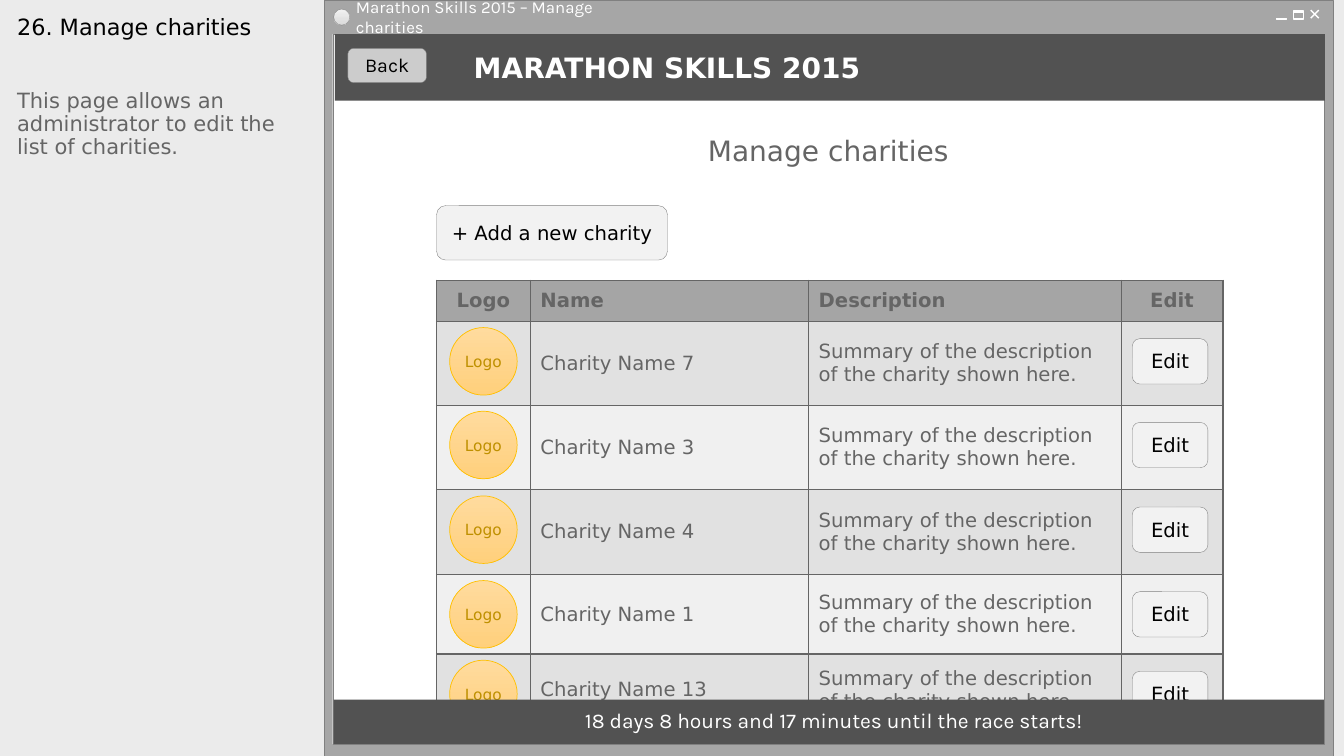
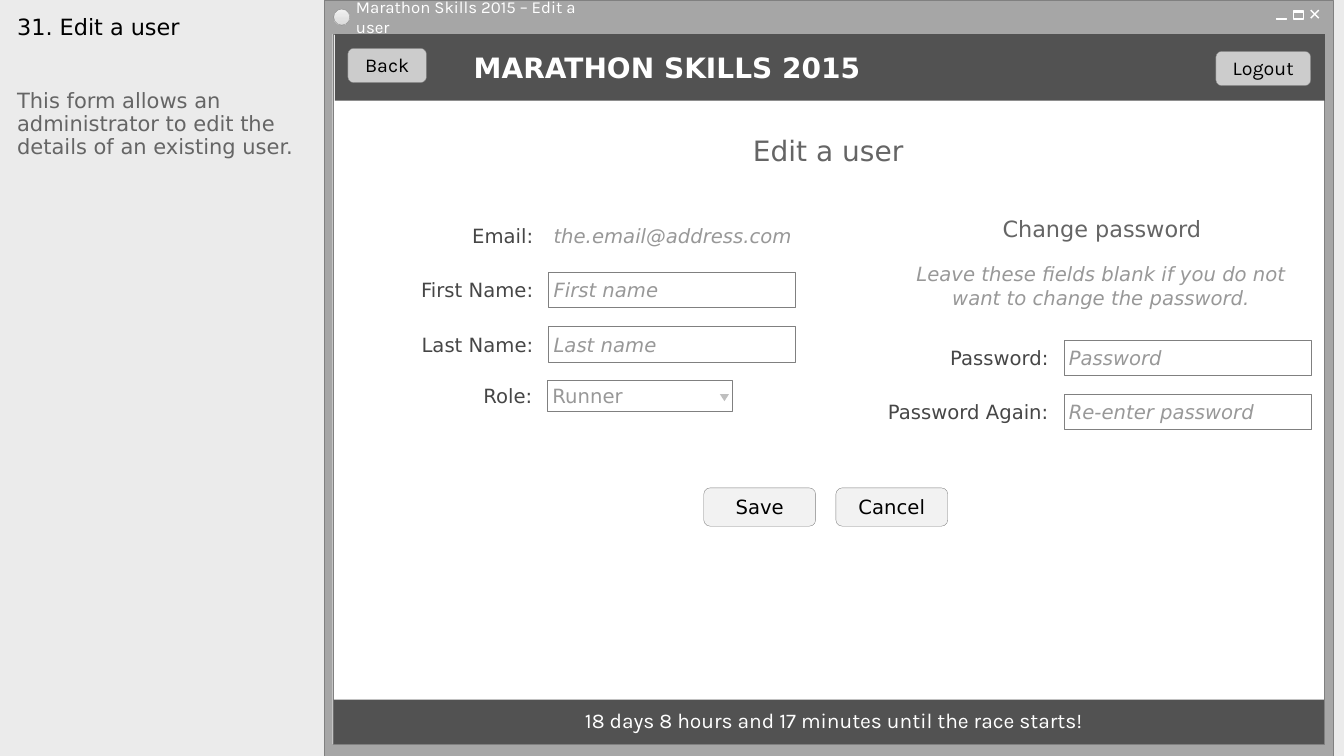
"""Build two wireframe slides for a marathon admin application."""
from dataclasses import dataclass
from itertools import accumulate

from lxml import etree
from pptx import Presentation
from pptx.dml.color import RGBColor
from pptx.enum.shapes import MSO_CONNECTOR, MSO_SHAPE
from pptx.enum.text import MSO_ANCHOR, MSO_AUTO_SIZE, PP_ALIGN
from pptx.oxml.ns import qn
from pptx.shapes.autoshape import Shape
from pptx.slide import Slide
from pptx.table import _Cell
from pptx.text.text import TextFrame
from pptx.util import Inches, Pt

RECT = MSO_SHAPE.RECTANGLE
ROUND = MSO_SHAPE.ROUNDED_RECTANGLE
OVAL = MSO_SHAPE.OVAL
WEDGE = MSO_SHAPE.ISOSCELES_TRIANGLE
LINE = MSO_CONNECTOR.STRAIGHT
TOP, MID = MSO_ANCHOR.TOP, MSO_ANCHOR.MIDDLE
LEFT, MIDST, RIGHT = PP_ALIGN.LEFT, PP_ALIGN.CENTER, PP_ALIGN.RIGHT
FIXED = MSO_AUTO_SIZE.NONE

Box = tuple[float, float, float, float]
PAD: Box = (0.1, 0.02, 0.1, 0.03)
SLIM: Box = (0.05, 0.02, 0.05, 0.02)
SNUG: Box = (0.1, 0, 0.1, 0.01)
NONE: Box = (0, 0, 0, 0)


@dataclass(frozen=True)
class Theme:
    """Colours, fonts and type sizes that the slides share."""

    sans: str = "DejaVu Sans"
    karla: str = "Karla"
    page: str = "EBEBEB"
    frame: str = "A6A6A6"
    edge: str = "808080"
    band: str = "525252"
    white: str = "FFFFFF"
    black: str = "000000"
    text: str = "656565"
    label: str = "464646"
    hint: str = "989898"
    arrow: str = "BFBFBF"
    grey: str = "CCCCCC"
    pale: str = "F2F2F2"
    shade: str = "D9D9D9"
    head: str = "A5A5A5"
    rows: tuple[str, str] = ("E1E1E1", "F0F0F0")
    badge: tuple[str, str] = ("FFDB9E", "FFD07C")
    gold: str = "FFC000"
    ochre: str = "BF9000"
    tiny: float = 11
    small: float = 12
    base: float = 14
    note: float = 15
    sub: float = 16
    large: float = 20


@dataclass(frozen=True)
class Page:
    """Texts that tell one window from the next."""

    title: str
    note: str
    name: str


@dataclass(frozen=True)
class Field:
    """One labelled input of a form."""

    label: str
    hint: str
    x: float
    y: float
    wide: float = 2.45
    edge: str | None = "808080"


T = Theme()
PAGES = (
    Page("26. Manage charities",
         "This page allows an administrator to edit the list of charities.",
         "Manage charities"),
    Page("31. Edit a user",
         "This form allows an administrator to edit the details of an existing user.",
         "Edit a user"),
)
STEP = 0.54
FIELDS = (
    Field("Email:", "the.email@address.com", 5.44, 2.16, 2.92, None),
    Field("First Name:", "First name", 5.44, 2.16 + STEP),
    Field("Last Name:", "Last name", 5.44, 2.16 + 2 * STEP),
    Field("Password:", "Password", 10.55, 3.37),
    Field("Password Again:", "Re-enter password", 10.55, 3.37 + STEP),
)
HEADS = ("Logo", "Name", "Description", "Edit")
NAMES = tuple(f"Charity Name {n}" for n in (7, 3, 4, 1, 13))
BRIEF = "Summary of the description of the charity shown here."
COLS = (0.93, 2.76, 3.1, 1.01)
ROWS = (0.41, 0.83, 0.84, 0.84, 0.79, 0.71)
GRID = (4.33, 2.78)


def rgb(code: str) -> RGBColor:
    """Turn a hex code into a colour."""
    return RGBColor.from_string(code)


def write(frame: TextFrame, words: str, *, size: float = T.base, color: str = T.text,
          font: str = T.sans, bold: bool = False, slant: bool = False,
          align: PP_ALIGN = LEFT, lead: float | None = None) -> None:
    """Fill a text frame with one formatted paragraph."""
    frame.text = words
    para = frame.paragraphs[0]
    para.alignment = align
    if lead:
        para.line_spacing = lead
        para.space_before = Pt(0)
    face = para.runs[0].font
    face.name, face.size = font, Pt(size)
    face.bold, face.italic = bold, slant
    face.color.rgb = rgb(color)


def fit(frame: TextFrame, pad: Box, anchor: MSO_ANCHOR = MID) -> None:
    """Set the insets, wrap and anchor of a text frame."""
    frame.word_wrap = True
    frame.auto_size = FIXED
    frame.vertical_anchor = anchor
    (frame.margin_left, frame.margin_top,
     frame.margin_right, frame.margin_bottom) = map(Inches, pad)


def label(slide: Slide, box: Box, words: str, pad: Box = PAD,
          anchor: MSO_ANCHOR = MID, **style) -> None:
    """Add a text box."""
    frame = slide.shapes.add_textbox(*map(Inches, box)).text_frame
    fit(frame, pad, anchor)
    write(frame, words, **style)


def shape(slide: Slide, kind: MSO_SHAPE, box: Box, fill: str | None = None,
          edge: str | None = None, width: float = 0.25) -> Shape:
    """Add a flat preset shape."""
    item = slide.shapes.add_shape(kind, *map(Inches, box))
    item.shadow.inherit = False
    if fill:
        item.fill.solid()
        item.fill.fore_color.rgb = rgb(fill)
    else:
        item.fill.background()
    if edge:
        item.line.color.rgb = rgb(edge)
        item.line.width = Pt(width)
    else:
        item.line.fill.background()
    return item


def blend(item: Shape, first: str, last: str) -> None:
    """Fill a shape from top to bottom with two colours."""
    item.fill.gradient()
    item.fill.gradient_angle = 270
    for stop, code in zip(item.fill.gradient_stops, (first, last)):
        stop.color.rgb = rgb(code)


def button(slide: Slide, box: Box, words: str, fill: str = T.pale,
           font: str = T.sans) -> None:
    """Add a rounded button."""
    item = shape(slide, ROUND, box, fill, T.edge)
    fit(item.text_frame, SNUG)
    write(item.text_frame, words, color=T.black, font=font, align=MIDST)


def stroke(slide: Slide, start: tuple[float, float], end: tuple[float, float]) -> None:
    """Add a thin white line."""
    line = slide.shapes.add_connector(LINE, *map(Inches, start + end))
    line.line.color.rgb = rgb(T.white)
    line.line.width = Pt(1)
    etree.SubElement(line._element.spPr, qn("a:effectLst"))


def side(slide: Slide, page: Page) -> None:
    """Fill the title and the note beside the window."""
    title, body = slide.shapes.title, slide.placeholders[1]
    for item, words, top, high, size, color in (
            (title, page.title, 0.11, 0.73, T.sub, T.black),
            (body, page.note, 0.85, 6.47, T.note, T.text)):
        item.left, item.top, item.width, item.height = map(Inches, (0.07, top, 3.01, high))
        fit(item.text_frame, (0.1, 0.05, 0.1, 0.05), TOP)
        write(item.text_frame, words, size=size, color=color, lead=0.9)
    props = body.text_frame.paragraphs[0]._p.get_or_add_pPr()
    props.set("marL", "0")
    props.set("indent", "0")
    etree.SubElement(props, qn("a:buNone"))


def window(slide: Slide, page: Page) -> None:
    """Draw the window frame, its header and its heading."""
    shape(slide, RECT, (3.22, 0, 10, 7.5), T.frame, T.edge)
    shape(slide, RECT, (3.3, 0.34, 9.83, 7.04), T.white, T.edge)
    label(slide, (3.48, 0.05, 2.55, 0.25), f"Marathon Skills 2015 – {page.name}",
          (0.05, 0.02, 0.1, 0.03), size=T.small, color=T.white, font=T.karla)
    stroke(slide, (13, 0.1), (13.08, 0.18))
    stroke(slide, (13.08, 0.1), (13, 0.18))
    shape(slide, RECT, (12.83, 0.11, 0.1, 0.08), None, T.white, 1)
    for x, y in ((12.83, 0.11), (12.66, 0.18)):
        shape(slide, RECT, (x, y, 0.1, 0.01), T.white, T.white)
    blend(shape(slide, OVAL, (3.31, 0.09, 0.16, 0.16), None, T.edge), T.pale, T.shade)
    shape(slide, RECT, (3.32, 0.34, 9.82, 0.66), T.band)
    button(slide, (3.45, 0.48, 0.78, 0.34), "Back", T.grey, T.karla)
    label(slide, (4.6, 0.48, 4.26, 0.39), "MARATHON SKILLS 2015",
          size=T.large, color=T.white, bold=True)
    label(slide, (4.55, 1.3, 7.33, 0.39), page.name, size=T.large, align=MIDST)


def footer(slide: Slide) -> None:
    """Draw the countdown band."""
    shape(slide, RECT, (3.31, 6.94, 9.82, 0.44), T.band)
    label(slide, (4.33, 7, 7.88, 0.3),
          "18 days 8 hours and 17 minutes until the race starts!",
          size=T.note, color=T.white, font=T.karla, align=MIDST)


def paint(cell: _Cell, fill: str) -> None:
    """Give a cell its borders and fill."""
    props = cell._tc.get_or_add_tcPr()
    for edge in ("a:lnL", "a:lnR", "a:lnT", "a:lnB"):
        line = etree.SubElement(props, qn(edge), w=str(Pt(1)))
        solid = etree.SubElement(line, qn("a:solidFill"))
        etree.SubElement(solid, qn("a:srgbClr"), val=T.text)
    cell.fill.solid()
    cell.fill.fore_color.rgb = rgb(fill)
    cell.vertical_anchor = MID


def charities(slide: Slide) -> None:
    """Draw the charity table with its badges and buttons."""
    button(slide, (4.33, 2.04, 2.29, 0.54), "+ Add a new charity")
    box = (*GRID, sum(COLS), sum(ROWS))
    table = slide.shapes.add_table(len(ROWS), len(COLS), *map(Inches, box)).table
    table.first_row = table.horz_banding = False
    for col, wide in zip(table.columns, COLS):
        col.width = Inches(wide)
    data = [HEADS] + [("", name, BRIEF, "") for name in NAMES]
    for i, line in enumerate(data):
        table.rows[i].height = Inches(ROWS[i])
        for j, words in enumerate(line):
            cell = table.cell(i, j)
            paint(cell, T.rows[(i - 1) % 2] if i else T.head)
            if words:
                write(cell.text_frame, words, bold=i == 0,
                      align=MIDST if j in (0, 3) else LEFT)
    for top in accumulate(ROWS[:-1], initial=GRID[1]):
        if top == GRID[1]:
            continue
        badge = shape(slide, OVAL, (4.46, top + 0.06, 0.67, 0.67), None, T.gold, 0.5)
        blend(badge, *T.badge)
        fit(badge.text_frame, (0.04, 0.05, 0.04, 0.05))
        write(badge.text_frame, "Logo", size=T.tiny, color=T.ochre, align=MIDST)
        button(slide, (11.23, top + 0.17, 0.75, 0.45), "Edit")


def entry(slide: Slide, field: Field, high: float = 0.35, slant: bool = True) -> None:
    """Draw an input with its label on the left."""
    label(slide, (field.x - 2.15, field.y + high / 2 - 0.12, 2, 0.24), field.label, NONE,
          color=T.label, align=RIGHT)
    item = shape(slide, RECT, (field.x, field.y, field.wide, high), T.white, field.edge)
    fit(item.text_frame, SLIM)
    write(item.text_frame, field.hint, color=T.hint, slant=slant)


def form(slide: Slide) -> None:
    """Draw the form that edits a user."""
    for field in FIELDS:
        entry(slide, field)
    entry(slide, Field("Role:", "Runner", 5.43, 3.77, 1.83), 0.31, False)
    shape(slide, WEDGE, (7.14, 3.91, 0.09, 0.07), T.arrow).rotation = 180
    label(slide, (8.86, 2.11, 4.14, 0.32), "Change password", size=T.sub, align=MIDST)
    label(slide, (8.85, 2.58, 4.14, 0.52),
          "Leave these fields blank if you do not want to change the password.",
          anchor=TOP, color=T.hint, slant=True, align=MIDST)
    for x, words in ((6.98, "Save"), (8.29, "Cancel")):
        button(slide, (x, 4.84, 1.11, 0.38), words)
    button(slide, (12.06, 0.51, 0.94, 0.34), "Logout", T.grey, T.karla)


def main() -> None:
    """Build and save the deck."""
    deck = Presentation()
    deck.slide_width, deck.slide_height = Inches(13.33), Inches(7.5)
    for page, draw in zip(PAGES, (charities, form)):
        slide = deck.slides.add_slide(deck.slide_layouts[1])
        slide.background.fill.solid()
        slide.background.fill.fore_color.rgb = rgb(T.page)
        side(slide, page)
        window(slide, page)
        draw(slide)
        footer(slide)
    deck.save("out.pptx")


if __name__ == "__main__":
    main()
